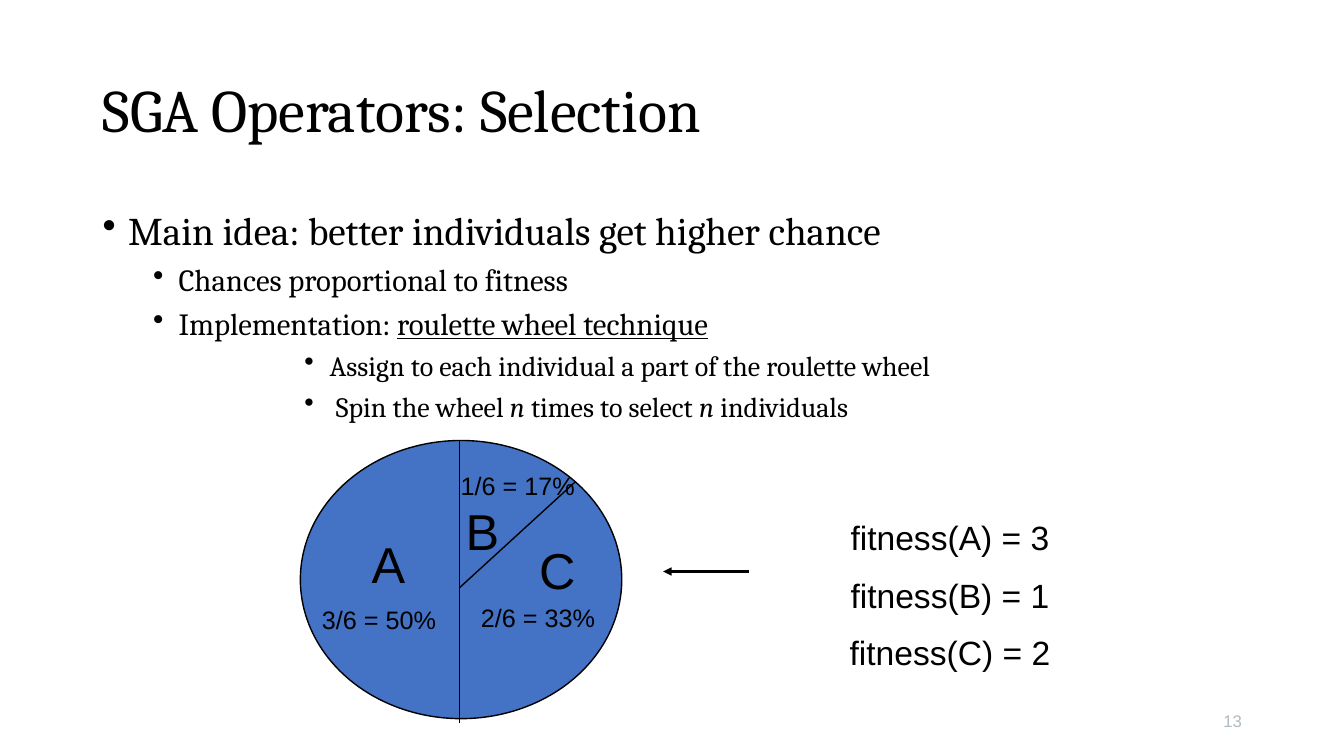
import pptx
import pptx.util
import pptx.dml.color
import pptx.enum.text
import pptx.enum.shapes
import pptx.oxml.ns
import lxml.etree
from dataclasses import dataclass

Cm = pptx.util.Cm
Pt = pptx.util.Pt
Align = pptx.enum.text.PP_ALIGN
Anchor = pptx.enum.text.MSO_ANCHOR
qn = pptx.oxml.ns.qn


@dataclass
class Theme:
    serif: str = "Cambria"
    sans: str = "Arial"
    ink: str = "000000"
    wheel: str = "4472C4"
    pale: str = "B0BCC1"
    title: int = 43
    levels: tuple = ((0, 28, 10, 0.64), (1, 22, 5, 1.91), (4, 20, 5, 5.72))
    name: int = 36
    score: int = 24
    share: int = 18
    page: int = 12


class Page:
    def __init__(self, theme, slide):
        self.theme = theme
        self.slide = slide
        self.shapes = slide.shapes

    def group(self):
        self.shapes = self.slide.shapes.add_group_shape().shapes

    def ungroup(self):
        self.shapes = self.slide.shapes

    def color(self, code):
        return pptx.dml.color.RGBColor.from_string(code)

    def style(self, para, face, size, code=None):
        para.font.name = face
        para.font.size = Pt(size)
        para.font.color.rgb = self.color(code or self.theme.ink)

    def title(self, text, left, top, width, height):
        shape = self.slide.shapes.title
        shape.left, shape.top, shape.width, shape.height = map(Cm, (left, top, width, height))
        frame = shape.text_frame
        frame.text = text
        frame.vertical_anchor = Anchor.MIDDLE
        para = frame.paragraphs[0]
        para.alignment = Align.LEFT
        para.line_spacing = 0.9
        self.style(para, self.theme.serif, self.theme.title)

    def label(self, text, left, top, width, height, size, code=None, align=Align.CENTER, wrap=False):
        box = self.shapes.add_textbox(Cm(left), Cm(top), Cm(width), Cm(height))
        frame = box.text_frame
        frame.word_wrap = wrap
        frame.vertical_anchor = Anchor.MIDDLE
        para = frame.paragraphs[0]
        para.text = text
        para.alignment = align
        self.style(para, self.theme.sans, size, code)

    def bullets(self, items, left, top, width, height):
        box = self.shapes.add_textbox(Cm(left), Cm(top), Cm(width), Cm(height))
        frame = box.text_frame
        frame.word_wrap = True
        for index, (tier, runs) in enumerate(items):
            para = frame.add_paragraph() if index else frame.paragraphs[0]
            level, size, gap, indent = self.theme.levels[tier]
            para.level = level
            para.space_before = Pt(gap)
            self.style(para, self.theme.serif, size)
            for text, mark in runs:
                run = para.add_run()
                run.text = text
                if mark == "under":
                    run.font.underline = True
                elif mark == "slant":
                    run.font.italic = True
            props = para._p.get_or_add_pPr()
            props.set("marL", str(Cm(indent)))
            props.set("indent", str(-Cm(0.64)))
            bullet = lxml.etree.Element(qn("a:buChar"), char="•")
            props.find(qn("a:defRPr")).addprevious(bullet)

    def oval(self, left, top, width, height):
        kind = pptx.enum.shapes.MSO_SHAPE.OVAL
        shape = self.shapes.add_shape(kind, Cm(left), Cm(top), Cm(width), Cm(height))
        shape.shadow.inherit = False
        shape.fill.solid()
        shape.fill.fore_color.rgb = self.color(self.theme.wheel)
        shape.line.color.rgb = self.color(self.theme.ink)
        shape.line.width = Pt(1)

    def line(self, start, end, width, arrow=False):
        kind = pptx.enum.shapes.MSO_CONNECTOR.STRAIGHT
        line = self.shapes.add_connector(kind, *map(Cm, start + end))
        line.line.color.rgb = self.color(self.theme.ink)
        line.line.width = Pt(width)
        props = line._element.spPr
        if arrow:
            lxml.etree.SubElement(props.find(qn("a:ln")), qn("a:tailEnd"), type="triangle")
        lxml.etree.SubElement(props, qn("a:effectLst"))


deck = pptx.Presentation()
deck.slide_width, deck.slide_height = Cm(33.87), Cm(19.05)
theme = Theme()
page = Page(theme, deck.slides.add_slide(deck.slide_layouts[5]))

page.title("SGA Operators: Selection", 2.34, 1.02, 29.21, 3.68)
page.bullets([
    (0, [("Main idea: better individuals get higher chance", None)]),
    (1, [("Chances proportional to fitness", None)]),
    (1, [("Implementation: ", None), ("roulette wheel technique", "under")]),
    (2, [("Assign to each individual a part of the roulette wheel", None)]),
    (2, [(" Spin the wheel ", None), ("n", "slant"), (" times to select", None),
         (" n ", "slant"), ("individuals", None)]),
], 2.34, 5.08, 29.21, 12.09)
page.label("13", 23.93, 17.65, 7.62, 1.02, theme.page, theme.pale, Align.RIGHT, True)

page.group()
for row, (name, score) in enumerate({"A": 3, "B": 1, "C": 2}.items()):
    page.label(f"fitness({name}) = {score}", 21.16, 12.9 + 1.45 * row, 5.56, 1.27, theme.score)

page.ungroup()
page.line((18.87, 14.4), (16.71, 14.4), 2, arrow=True)

page.group()
page.oval(7.57, 11.1, 8.1, 7.01)
for name, left, top in (("A", 9.09, 13.31), ("C", 13.34, 13.46), ("B", 11.46, 12.47)):
    page.label(name, left, top, 1.4, 1.78, theme.name)
for share, left, top in (("1/6 = 17%", 11.35, 11.73), ("3/6 = 50%", 7.85, 15.09),
                         ("2/6 = 33%", 11.86, 15.06)):
    page.label(share, left, top, 3.4, 1.02, theme.share)
page.line((11.58, 14.81), (14.5, 12.14), 1)
page.line((11.58, 11.1), (11.58, 18.21), 0.75)

deck.save("out.pptx")
